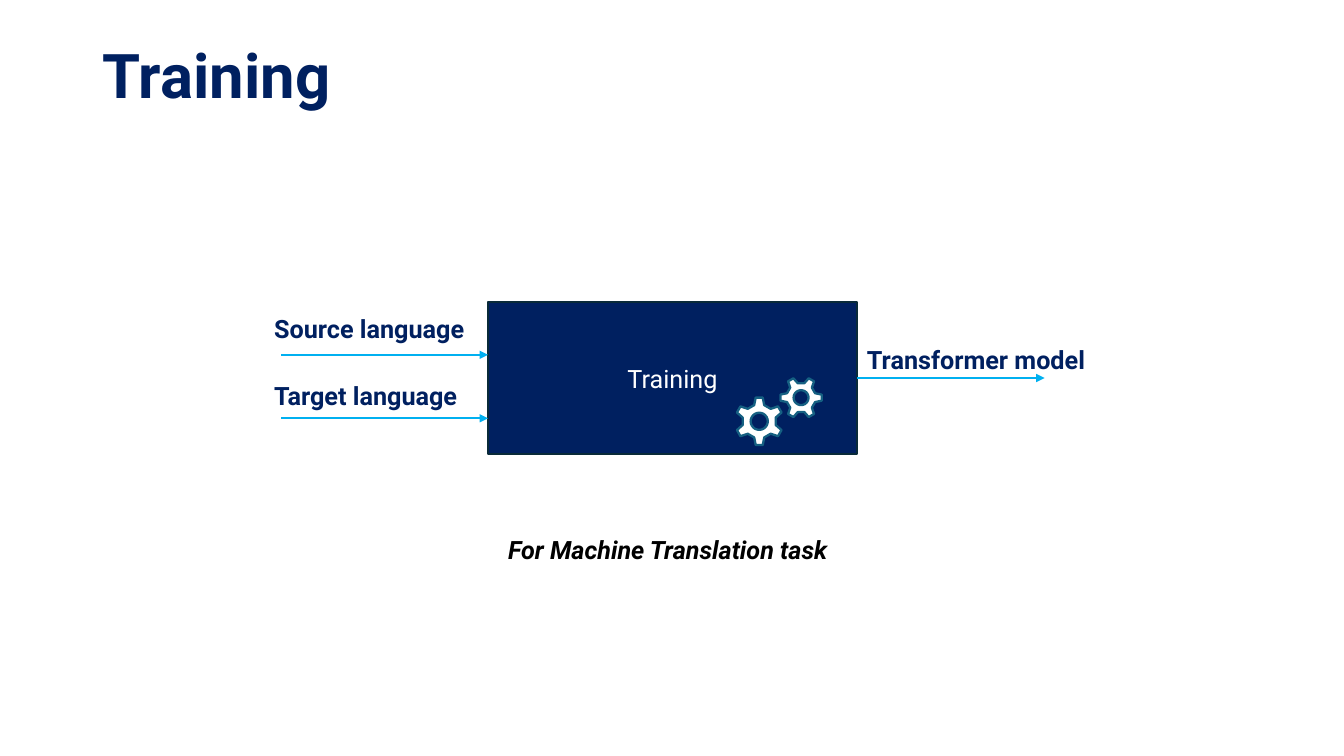
from math import cos, pi, sin

from lxml import etree
from pptx import Presentation
from pptx.dml.color import RGBColor
from pptx.enum.shapes import MSO_CONNECTOR, MSO_SHAPE
from pptx.enum.text import MSO_ANCHOR, MSO_AUTO_SIZE, PP_ALIGN
from pptx.oxml.ns import qn
from pptx.util import Inches, Pt

STRAIGHT = MSO_CONNECTOR.STRAIGHT
ROUNDED = MSO_SHAPE.ROUNDED_RECTANGLE
MIDDLE, TOP = MSO_ANCHOR.MIDDLE, MSO_ANCHOR.TOP
CENTER = PP_ALIGN.CENTER
GROW = MSO_AUTO_SIZE.SHAPE_TO_FIT_TEXT
NAVY, WHITE, BLACK = "002060", "FFFFFF", "000000"
EDGE, TEAL, CYAN = "092A39", "156082", "00B0F0"

TITLE = ("Training", (0.92, 0.4, 11.5, 1.45))
BOX = ("Training", (4.84, 3, 3.66, 1.5))
LABELS = [
    ("Source language", (2.62, 3.06, 2.25, 0.4), NAVY, False),
    ("Target language", (2.62, 3.72, 2.19, 0.4), NAVY, False),
    ("Transformer model", (8.5, 3.37, 2.52, 0.4), NAVY, False),
    ("For Machine Translation task", (4.94, 5.25, 3.62, 0.4), BLACK, True),
]
INPUTS = [3.52, 4.15]
IN_LEFT, OUT_RIGHT = 2.79, 10.36
GEARS = [(7.53, 4.18, 1, 0), (7.945, 3.945, 0.87, 30)]
TOOTH = [(-0.05, -0.16), (-0.035, -0.235), (0.035, -0.235), (0.05, -0.16)]
TEETH, HOLE, SIDES = 6, 0.085, 24


def color(code):
    return RGBColor.from_string(code)


def place(at):
    return [Inches(v) for v in at]


def write(frame, text, code, **style):
    para = frame.paragraphs[0]
    run = para.add_run()
    run.text = text
    run.font.color.rgb = color(code)
    for key, val in {"name": "Roboto", "size": Pt(18), **style}.items():
        setattr(run.font, key, val)
    return para


def paint(shape, fill, line, width):
    shape.shadow.inherit = False
    shape.fill.solid()
    shape.fill.fore_color.rgb = color(fill)
    shape.line.color.rgb = color(line)
    shape.line.width = Pt(width)


def label(slide, text, at, code, wrap=False, **style):
    frame = slide.shapes.add_textbox(*place(at)).text_frame
    frame.word_wrap = wrap
    frame.vertical_anchor = TOP
    if not wrap:
        frame.auto_size = GROW
    return write(frame, text, code, bold=True, **style)


def arrow(slide, left, right, y):
    line = slide.shapes.add_connector(STRAIGHT, *place((left, y, right, y)))
    line.line.color.rgb = color(CYAN)
    line.line.width = Pt(1.5)
    etree.SubElement(line.line._get_or_add_ln(), qn("a:tailEnd"), type="triangle")
    etree.SubElement(line._element.spPr, qn("a:effectLst"))
    return line


def turn(x, y, angle):
    return x * cos(angle) - y * sin(angle), x * sin(angle) + y * cos(angle)


def gear(slide, mid_x, mid_y, scale, tilt):
    def spot(x, y, angle):
        dx, dy = turn(x, y, angle)
        return Inches(mid_x + dx * scale), Inches(mid_y + dy * scale)

    rim = [
        spot(x, y, tilt * pi / 180 + 2 * pi * n / TEETH)
        for n in range(TEETH)
        for x, y in TOOTH
    ]
    hole = [spot(HOLE, 0, -2 * pi * n / SIDES) for n in range(SIDES)]
    path = slide.shapes.build_freeform(*rim[0])
    path.add_line_segments(rim[1:], close=True)
    path.move_to(*hole[0])
    path.add_line_segments(hole[1:], close=True)
    paint(path.convert_to_shape(), WHITE, TEAL, 1.63)


def main():
    deck = Presentation()
    deck.slide_width, deck.slide_height = Inches(13.33), Inches(7.5)
    slide = deck.slides.add_slide(deck.slide_layouts[6])

    text, at = BOX
    box = slide.shapes.add_shape(ROUNDED, *place(at))
    box.adjustments[0] = 0
    paint(box, NAVY, EDGE, 1.5)
    box.text_frame.vertical_anchor = MIDDLE
    write(box.text_frame, text, WHITE).alignment = CENTER

    for item in GEARS:
        gear(slide, *item)

    left, top, width, height = at
    for y in INPUTS:
        arrow(slide, IN_LEFT, left, y)
    out = arrow(slide, left + width, OUT_RIGHT, top + height / 2)
    out.begin_connect(box, 3)

    for text, at, code, slant in LABELS:
        label(slide, text, at, code, italic=slant)
    label(slide, *TITLE, NAVY, wrap=True, size=Pt(44)).line_spacing = 0.9

    deck.save("out.pptx")


if __name__ == "__main__":
    main()
